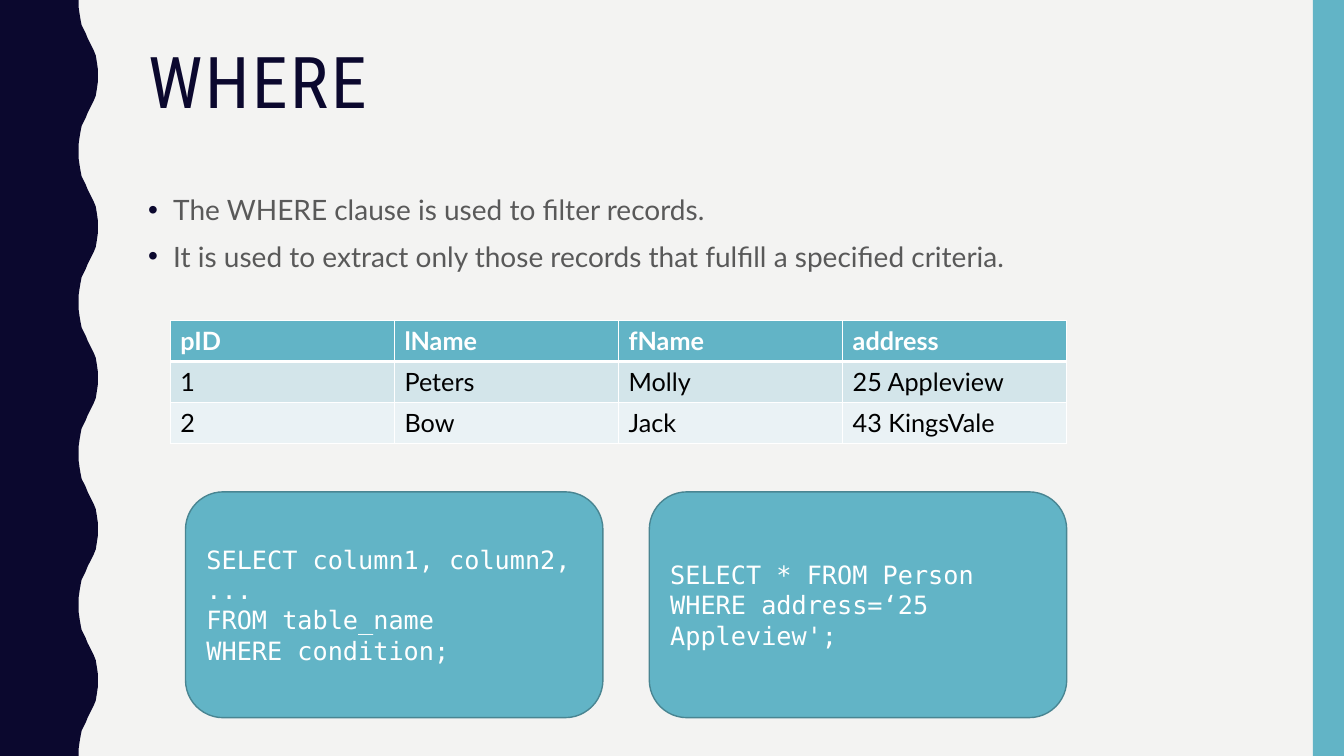
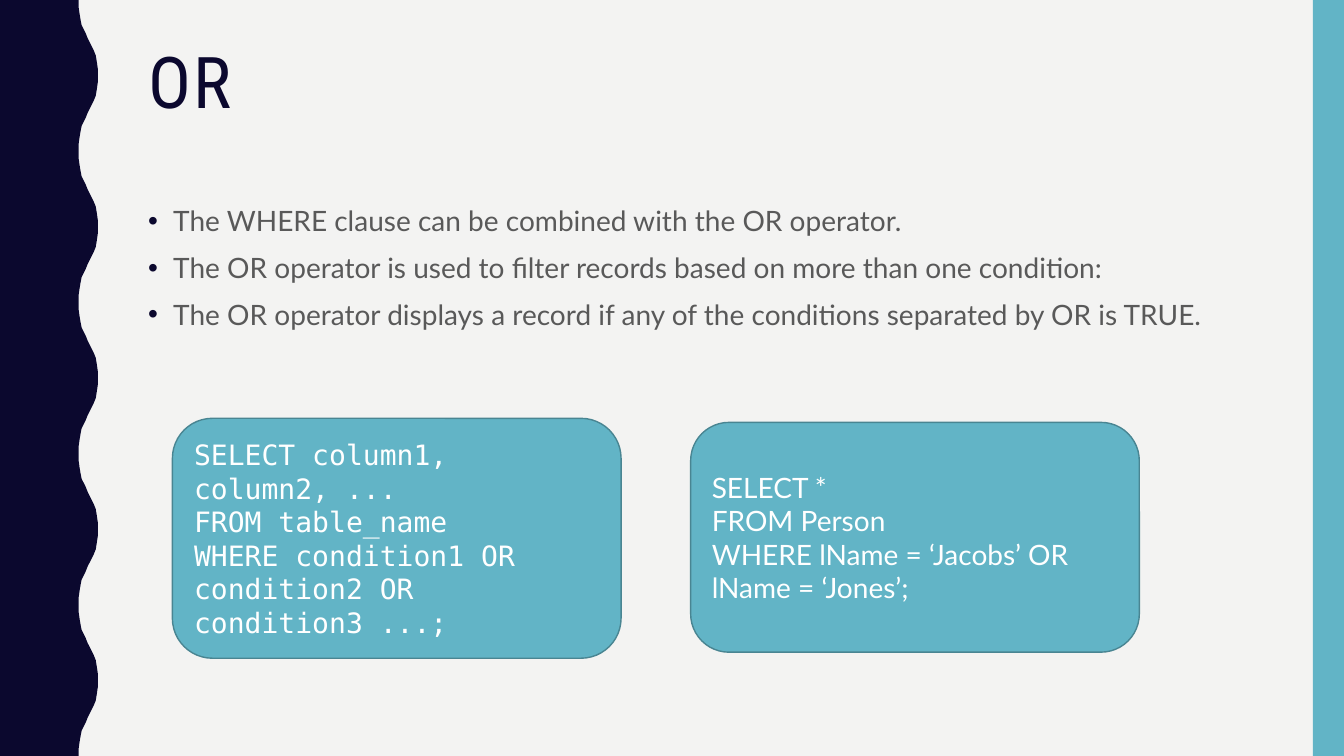
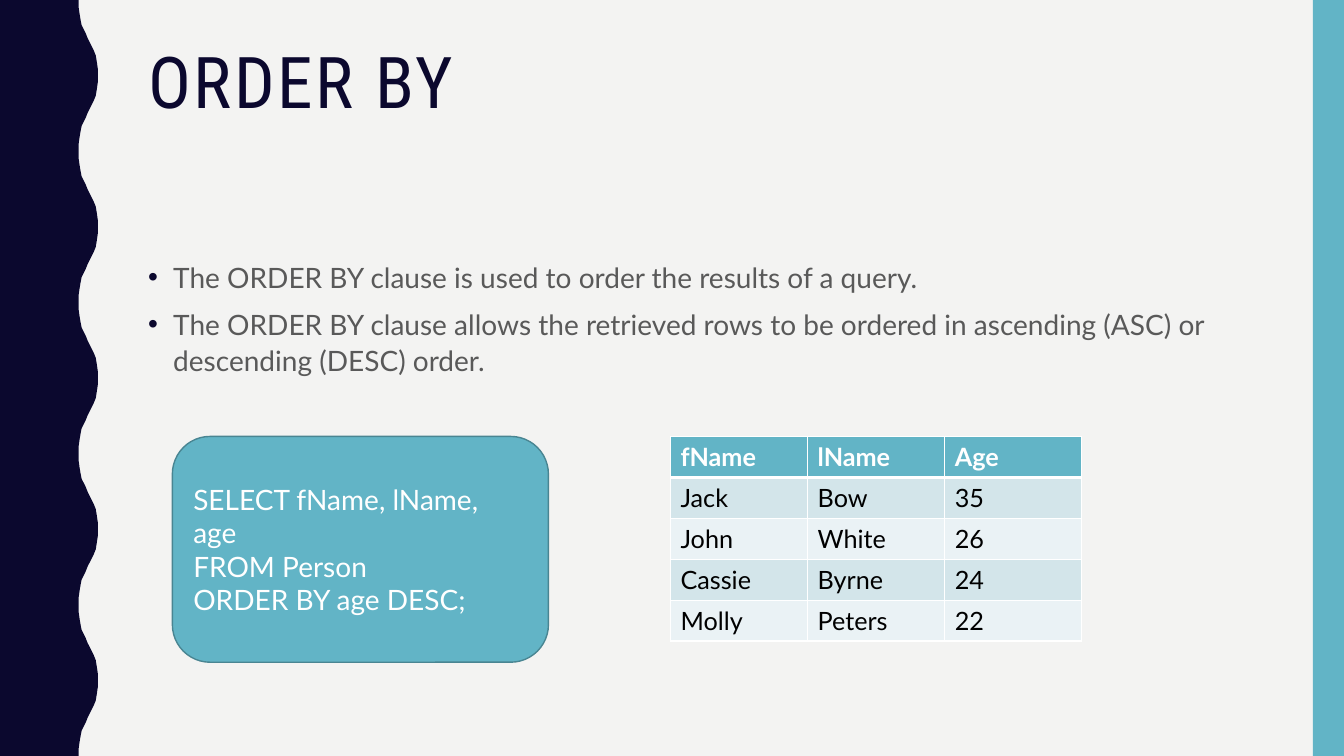
from pptx import Presentation
from pptx.dml.color import RGBColor
from pptx.enum.shapes import MSO_SHAPE as Shape
from pptx.enum.text import MSO_ANCHOR as Anchor, PP_ALIGN as Align
from pptx.oxml.ns import qn
from pptx.util import Inches, Pt
from lxml.etree import SubElement, Element

# Colours
PAPER = RGBColor(0xF3, 0xF3, 0xF2)
NAVY = RGBColor(0x0B, 0x08, 0x2E)
TEAL = RGBColor(0x62, 0xB4, 0xC6)
TEAL_DARK = RGBColor(0x49, 0x85, 0x92)
ROW_DARK = RGBColor(0xD3, 0xE5, 0xEA)
ROW_LIGHT = RGBColor(0xEA, 0xF2, 0xF5)
GREY = RGBColor(0x59, 0x59, 0x59)
WHITE = RGBColor(0xFF, 0xFF, 0xFF)
BLACK = RGBColor(0, 0, 0)

# Fonts
TITLE_FONT = "Roboto Condensed"
BODY_FONT = "Lato"
CODE_FONT = "DejaVu Sans Mono"

# Sizes in inches
SLIDE_WIDTH, SLIDE_HEIGHT = 13.33, 7.5
TEXT_LEFT, TEXT_WIDTH = 1.37, 11.13
BAND_WIDTH = 0.31

# Wave edge: the outward half of one wave as (x, y); the way back mirrors it
WAVE_PERIOD = 1.5
WAVE_OUT = [(0.78, 0), (0.78, 0.07), (0.79, 0.14), (0.8, 0.2), (0.81, 0.25),
            (0.83, 0.29), (0.85, 0.33), (0.87, 0.38), (0.89, 0.42),
            (0.91, 0.46), (0.93, 0.5), (0.95, 0.55), (0.96, 0.61),
            (0.97, 0.68), (0.97, 0.75)]
WAVE_BACK = [(x, WAVE_PERIOD - y) for x, y in reversed(WAVE_OUT[:-1])]


def inches(*values):
    return [Inches(value) for value in values]


class Deck:
    """Holds the shared style and the slide being built."""

    def __init__(self):
        self.presentation = Presentation()
        self.presentation.slide_width = Inches(SLIDE_WIDTH)
        self.presentation.slide_height = Inches(SLIDE_HEIGHT)
        self.slide = None

    def new_slide(self, title):
        blank = self.presentation.slide_layouts[6]
        self.slide = self.presentation.slides.add_slide(blank)
        background = self.slide.background.fill
        background.solid()
        background.fore_color.rgb = PAPER
        self.wave()
        band = self.slide.shapes.add_shape(Shape.RECTANGLE, *inches(
            SLIDE_WIDTH - BAND_WIDTH, 0, BAND_WIDTH, SLIDE_HEIGHT))
        self.paint(band, TEAL)
        self.title(title)

    def paint(self, shape, fill, line=None):
        shape.shadow.inherit = False
        shape.fill.solid()
        shape.fill.fore_color.rgb = fill
        if line is None:
            shape.line.fill.background()
        else:
            shape.line.color.rgb = line
            shape.line.width = Pt(1)

    def wave(self):
        edge = [(x, wave * WAVE_PERIOD + y)
                for wave in range(int(SLIDE_HEIGHT / WAVE_PERIOD))
                for x, y in WAVE_OUT + WAVE_BACK]
        builder = self.slide.shapes.build_freeform(0, 0)
        builder.add_line_segments(
            [inches(*point) for point in edge + [(0, SLIDE_HEIGHT)]], close=True)
        self.paint(builder.convert_to_shape(), NAVY)

    def run(self, paragraph, text, font, size, color, bold=False):
        run = paragraph.add_run()
        run.text = text
        run.font.name = font
        run.font.size = Pt(size)
        run.font.color.rgb = color
        run.font.bold = bold
        return run

    def paragraphs(self, frame, lines):
        """Yield one paragraph of the frame for each line of text."""
        for index, line in enumerate(lines):
            yield frame.add_paragraph() if index else frame.paragraphs[0], line

    def text_frame(self, top, height):
        box = self.slide.shapes.add_textbox(
            *inches(TEXT_LEFT, top, TEXT_WIDTH, height))
        box.text_frame.word_wrap = True
        return box.text_frame

    def title(self, text):
        paragraph = self.text_frame(0.42, 1.63).paragraphs[0]
        paragraph.line_spacing = 0.9
        run = self.run(paragraph, text, TITLE_FONT, 51, NAVY)
        run.font._element.set("spc", "200")

    def bullets(self, top, lines):
        frame = self.text_frame(top, 3.93)
        for paragraph, line in self.paragraphs(frame, lines):
            paragraph.line_spacing = 1.1
            paragraph.space_before = Pt(7)
            properties = paragraph._p.get_or_add_pPr()
            properties.set("marL", str(Inches(0.25)))
            properties.set("indent", str(-Inches(0.25)))
            color = SubElement(properties, qn("a:buClr"))
            SubElement(color, qn("a:srgbClr"), val=str(NAVY))
            SubElement(properties, qn("a:buFont"), typeface="Arial")
            SubElement(properties, qn("a:buChar"), char="•")
            self.run(paragraph, line, BODY_FONT, 20, GREY)

    def code_box(self, left, top, width, height, lines, font=BODY_FONT, size=20):
        box = self.slide.shapes.add_shape(
            Shape.ROUNDED_RECTANGLE, *inches(left, top, width, height))
        self.paint(box, TEAL, TEAL_DARK)
        frame = box.text_frame
        frame.word_wrap = True
        frame.vertical_anchor = Anchor.MIDDLE
        for paragraph, line in self.paragraphs(frame, lines):
            paragraph.alignment = Align.LEFT
            self.run(paragraph, line, font, size, WHITE)

    def borders(self, cell, **widths):
        properties = cell._tc.get_or_add_tcPr()
        for index, side in enumerate("LRTB"):
            line = Element(qn("a:ln" + side), w=str(Pt(widths.get(side, 1))))
            fill = SubElement(line, qn("a:solidFill"))
            SubElement(fill, qn("a:srgbClr"), val=str(WHITE))
            properties.insert(index, line)

    def table(self, left, top, width, height, rows):
        table = self.slide.shapes.add_table(
            len(rows), len(rows[0]), *inches(left, top, width, height)).table
        table.horz_banding = False
        for row_index, row in enumerate(rows):
            header = row_index == 0
            fill = TEAL if header else (ROW_LIGHT, ROW_DARK)[row_index % 2]
            # The header is set off by a thicker rule
            rule = {0: {"B": 3}, 1: {"T": 3}}.get(row_index, {})
            for column_index, text in enumerate(row):
                cell = table.cell(row_index, column_index)
                cell.fill.solid()
                cell.fill.fore_color.rgb = fill
                self.borders(cell, **rule)
                self.run(cell.text_frame.paragraphs[0], text, BODY_FONT, 18,
                         WHITE if header else BLACK, header)


deck = Deck()

# WHERE
deck.new_slide("WHERE")
deck.bullets(1.83, [
    "The WHERE clause is used to filter records.",
    "It is used to extract only those records that fulfill a specified criteria.",
])
where_examples = [
    ["SELECT column1, column2, ...", "FROM table_name", "WHERE condition;"],
    ["SELECT * FROM Person", "WHERE address=‘25 Appleview';"],
]
for index, example in enumerate(where_examples):
    deck.code_box(1.84 + 4.6 * index, 4.88, 4.14, 2.24, example, CODE_FONT, 18)
deck.table(1.69, 3.18, 8.89, 1.22, [
    ["pID", "lName", "fName", "address"],
    ["1", "Peters", "Molly", "25 Appleview"],
    ["2", "Bow", "Jack", "43 KingsVale"],
])

# OR
deck.new_slide("OR")
deck.bullets(1.94, [
    "The WHERE clause can be combined with the OR operator.",
    "The OR operator is used to filter records based on more than one condition:",
    "The OR operator displays a record if any of the conditions separated by OR is TRUE.",
])
deck.code_box(1.71, 4.15, 4.45, 2.38, [
    "SELECT column1, column2, ...",
    "FROM table_name",
    "WHERE condition1 OR condition2 OR condition3 ...;",
], CODE_FONT)
deck.code_box(6.85, 4.19, 4.45, 2.28, [
    "SELECT *",
    "FROM Person",
    "WHERE lName = ‘Jacobs’ OR lName = ‘Jones’;",
])

# ORDER BY
deck.new_slide("ORDER BY")
deck.bullets(2.5, [
    "The ORDER BY clause is used to order the results of a query.",
    "The ORDER BY clause allows the retrieved rows to be ordered in ascending (ASC) "
    "or descending (DESC) order.",
])
deck.code_box(1.71, 4.33, 3.73, 2.24, [
    "SELECT fName, lName, age",
    "FROM Person",
    "ORDER BY age DESC;",
])
deck.table(6.65, 4.33, 4.08, 2.03, [
    ["fName", "lName", "Age"],
    ["Jack", "Bow", "35"],
    ["John", "White", "26"],
    ["Cassie", "Byrne", "24"],
    ["Molly", "Peters", "22"],
])

deck.presentation.save("out.pptx")
